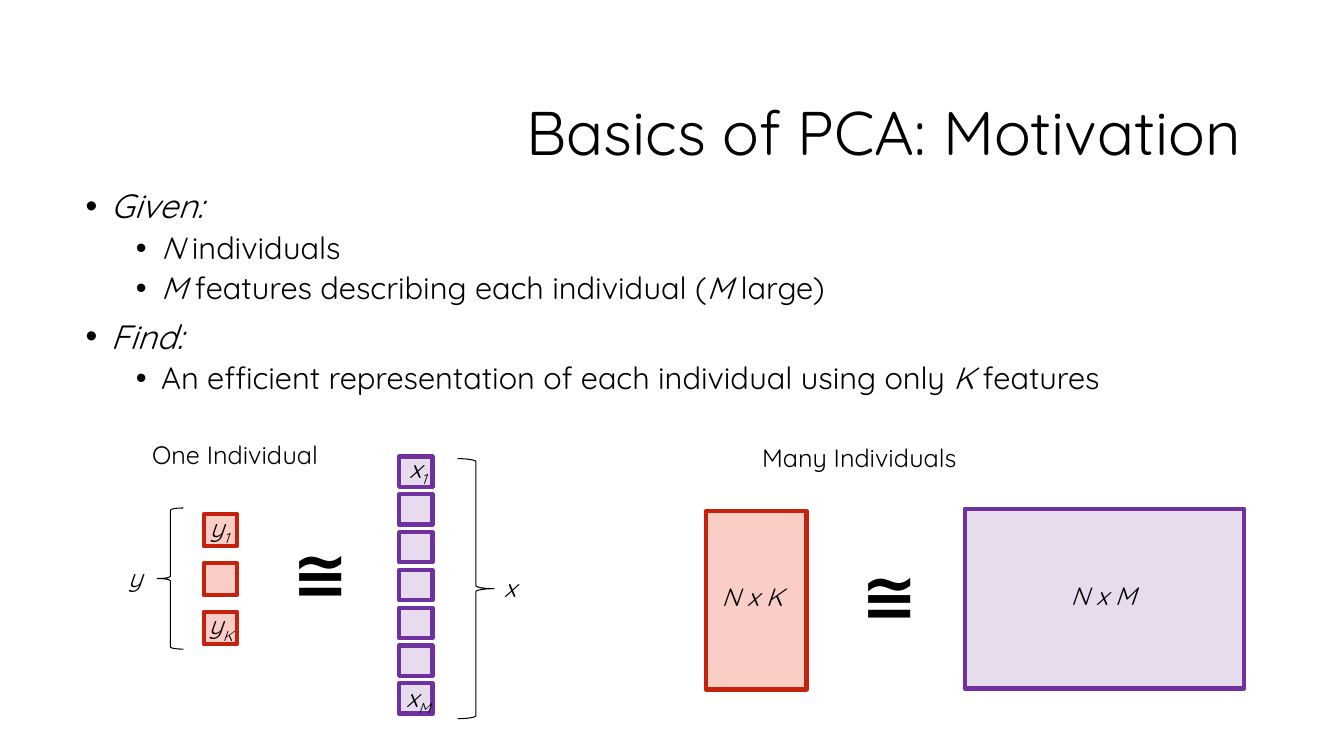
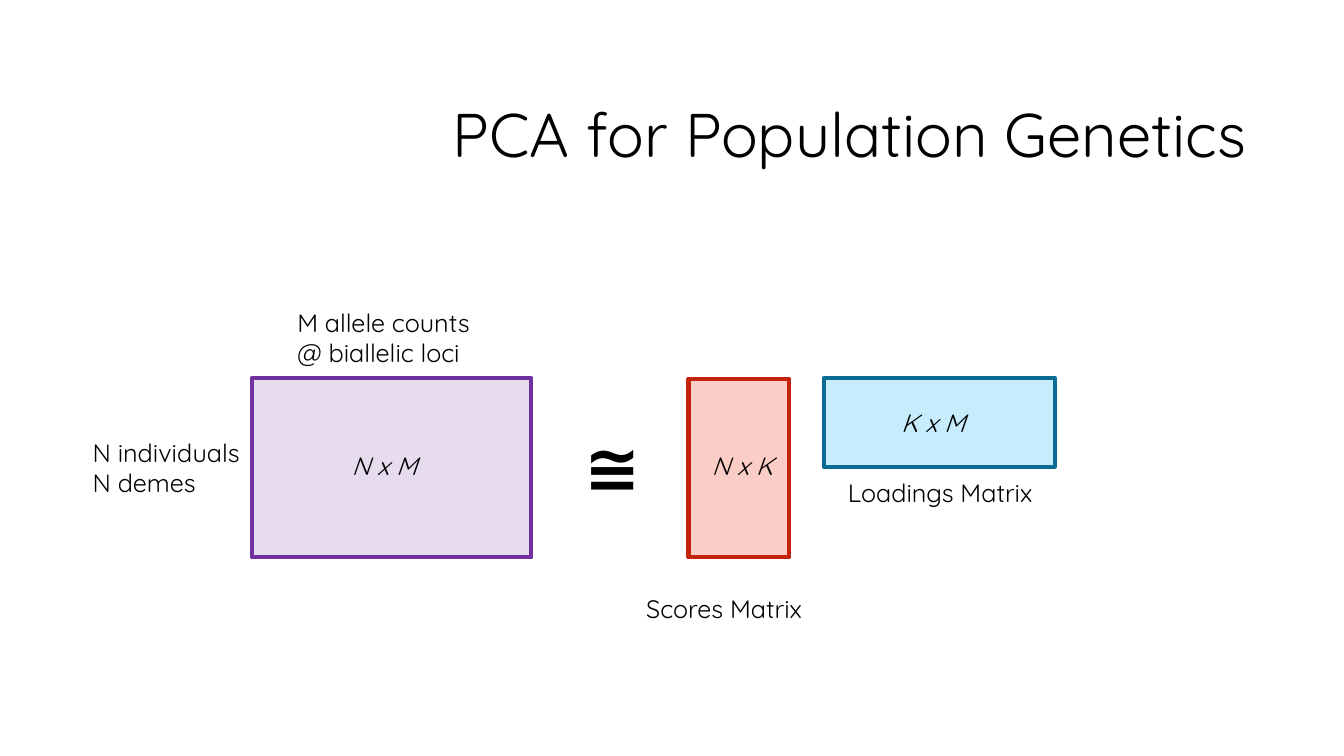
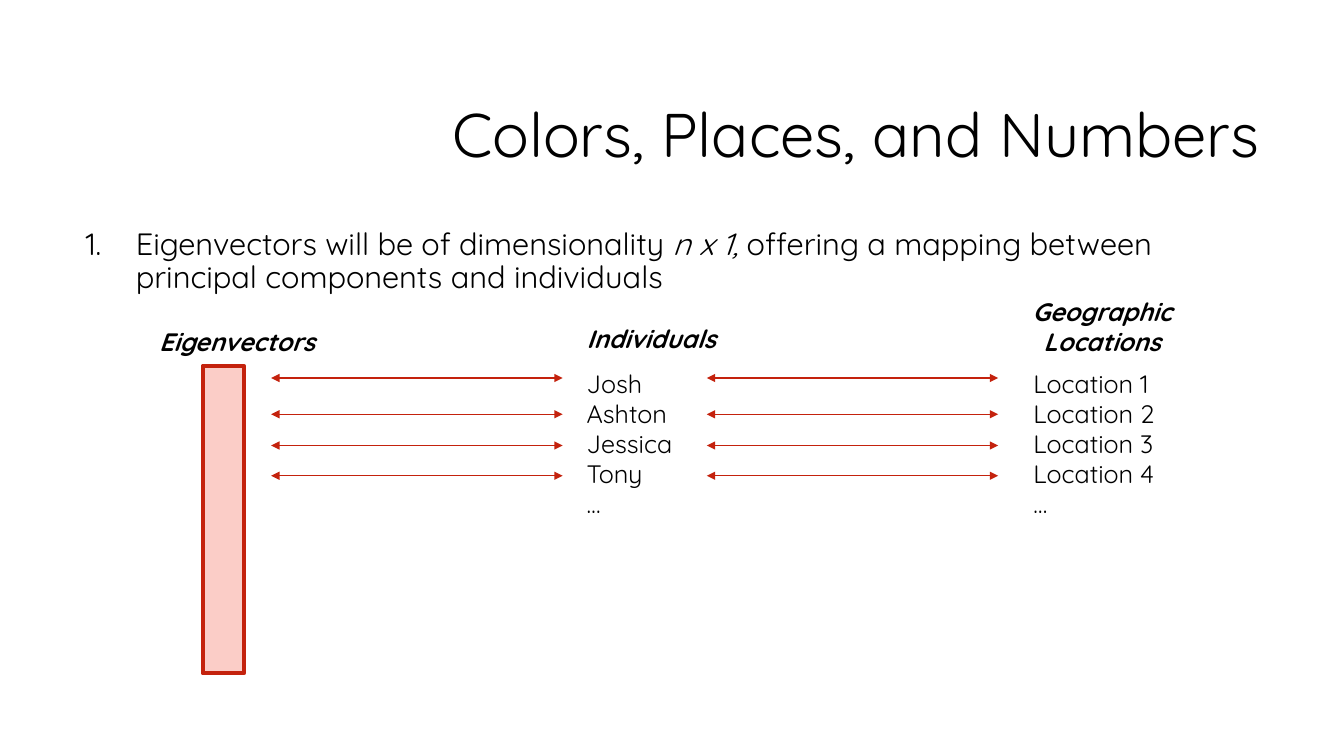
import pptx
import pptx.util
import pptx.dml.color
import pptx.enum.shapes
import pptx.enum.text
import pptx.oxml
import pptx.oxml.ns
from pptx.util import Inches

SHAPES = pptx.enum.shapes.MSO_SHAPE
FONT = "Quicksand"
COLORS = {"black": "000000", "purple": "7030A0", "red": "C4220D", "pink": "FBCDC7",
          "blue": "0A6B94", "sky": "C7ECFB"}
# style: fill, fill opacity in percent, outline
STYLES = {"data": ("purple", 17, "purple"), "scores": ("pink", 100, "red"),
          "loadings": ("sky", 100, "blue")}
DATA_SIZE = (2.77, 1.78)
SCORES_SIZE = (1, 1.77)

# In all wording, *...* is italic and _..._ is subscript.
TITLES = [("Basics of PCA: Motivation", 5.12, 0.88, 7.76),
          ("PCA for Population Genetics", 4.39, 0.9, 8.75),
          ("Colors, Places, and Numbers", 4.39, 0.9, 8.75)]

MOTIVATION = [(0, "*Given:*"),
              (1, "*N* individuals"),
              (1, "*M *features describing each individual (*M *large)"),
              (0, "*Find:*"),
              (1, "An efficient representation of each individual using only *K *features")]
EIGENVECTOR_POINT = ("Eigenvectors will be of dimensionality *n x 1, *offering a mapping "
                     "between principal components and individuals")

# label: text, left, top, width
MOTIVATION_LABELS = [("*x*", 4.9, 5.63, 0.42), ("*x_1_*", 3.96, 4.45, 0.47),
                     ("*x_M_*", 3.93, 6.72, 0.68), ("*y_1_*", 1.98, 5.03, 0.47),
                     ("*y*", 1.17, 5.53, 0.42), ("*y_K_*", 1.97, 6, 0.47),
                     ("One Individual", 1.41, 4.31, 2.09),
                     ("Many Individuals", 7.46, 4.34, 2.38),
                     ("*N x K*", 7.06, 5.72, 0.84), ("*N x M*", 10.52, 5.71, 0.99)]
GENETICS_LABELS = [("*N x K*", 6.96, 4.42, 0.84), ("*N x M*", 3.39, 4.42, 0.99),
                   ("*K x M*", 8.84, 3.99, 0.84),
                   ("N individuals\nN demes", 0.82, 4.29, 2),
                   ("M allele counts @ biallelic loci", 2.85, 3, 2.05),
                   ("Scores Matrix", 6.31, 5.84, 2.05),
                   ("Loadings Matrix", 8.31, 4.69, 2.18)]
MAPPING_HEADINGS = [("*Eigenvectors*", 1.48, 3.19, 1.89, "left"),
                    ("*Individuals*", 5.72, 3.16, 1.56, "left"),
                    ("*Geographic Locations*", 10.01, 2.89, 1.84, "center")]
MAPPING_LISTS = [("Josh\nAshton\nJessica\nTony\n…", 5.72, 3.6, 1.56),
                 ("Location 1\nLocation 2\nLocation 3\nLocation 4\n…", 10.15, 3.6, 1.56)]
ARROW_LEFTS = [2.69, 7.01]
ARROW_ROWS = [3.75, 4.11, 4.42, 4.72]
ARROW_LENGTH = 2.89


def rgb(name):
    return pptx.dml.color.RGBColor.from_string(COLORS[name])


def add_child(parent, tag, **attributes):
    child = pptx.oxml.parse_xml(f"<a:{tag} {pptx.oxml.ns.nsdecls('a')}/>")
    for key, value in attributes.items():
        child.set(key, value)
    parent.append(child)


def write_runs(paragraph, text, size=18, bold=False):
    """Fill a paragraph, reading the italic and subscript marks."""
    for i, piece in enumerate(text.split("*")):
        for j, part in enumerate(piece.split("_")):
            if not part:
                continue
            run = paragraph.add_run()
            run.text = part
            run.font.name = FONT
            run.font.size = pptx.util.Pt(size)
            run.font.bold = bold
            run.font.italic = i % 2 == 1
            run.font.color.rgb = rgb("black")
            if j % 2:
                run.font._element.set("baseline", "-25000")


def add_text(slide, text, left, top, width, height=0.4, size=18, bold=False, align="left"):
    box = slide.shapes.add_textbox(Inches(left), Inches(top), Inches(width), Inches(height))
    frame = box.text_frame
    frame.word_wrap = True
    for index, line in enumerate(text.split("\n")):
        paragraph = frame.add_paragraph() if index else frame.paragraphs[0]
        paragraph.alignment = pptx.enum.text.PP_ALIGN[align.upper()]
        write_runs(paragraph, line, size, bold)
    return box


def add_points(slide, points, top, sizes, indent, hanging, number=False):
    """Add a bulleted or numbered list of (level, text)."""
    frame = add_text(slide, "", 0.75, top, 11.83, 4.4).text_frame
    for index, (level, text) in enumerate(points):
        paragraph = frame.add_paragraph() if index else frame.paragraphs[0]
        paragraph.level = level
        paragraph.line_spacing = 0.9
        paragraph.space_before = pptx.util.Pt(5 if level else 10)
        properties = paragraph._p.get_or_add_pPr()
        properties.set("marL", str(Inches(indent + 0.5 * level)))
        properties.set("indent", str(-Inches(hanging)))
        if number:
            add_child(properties, "buFont", typeface=FONT)
            add_child(properties, "buAutoNum", type="arabicPeriod")
        else:
            add_child(properties, "buFont", typeface="Arial")
            add_child(properties, "buChar", char="•")
        write_runs(paragraph, text, sizes[level])


def add_matrix(slide, style, left, top, width, height):
    fill, opacity, outline = STYLES[style]
    shape = slide.shapes.add_shape(SHAPES.RECTANGLE, Inches(left), Inches(top),
                                   Inches(width), Inches(height))
    shape.shadow.inherit = False
    shape.fill.solid()
    shape.fill.fore_color.rgb = rgb(fill)
    if opacity < 100:
        color = shape.element.spPr.find(".//" + pptx.oxml.ns.qn("a:srgbClr"))
        add_child(color, "alpha", val=str(opacity * 1000))
    shape.line.color.rgb = rgb(outline)
    shape.line.width = pptx.util.Pt(3)


def add_brace(slide, kind, left, top, width, height):
    brace = slide.shapes.add_shape(kind, Inches(left), Inches(top), Inches(width), Inches(height))
    brace.shadow.inherit = False
    brace.fill.background()
    brace.line.color.rgb = rgb("black")
    brace.line.width = pptx.util.Pt(0.75)


def add_double_arrow(slide, left, top):
    arrow = slide.shapes.add_connector(
        pptx.enum.shapes.MSO_CONNECTOR.STRAIGHT, Inches(left), Inches(top),
        Inches(left + ARROW_LENGTH), Inches(top))
    arrow.line.color.rgb = rgb("red")
    arrow.line.width = pptx.util.Pt(0.75)
    properties = arrow.element.spPr
    line = properties.find(pptx.oxml.ns.qn("a:ln"))
    add_child(line, "headEnd", type="triangle")
    add_child(line, "tailEnd", type="triangle")
    add_child(properties, "effectLst")


def add_approximation(slide, left, top):
    add_text(slide, "≅", left, top, 1.02, 0.91, size=48, bold=True)


def add_labels(slide, labels):
    for text, left, top, width in labels:
        add_text(slide, text, left, top, width)


def build_motivation(slide):
    add_points(slide, MOTIVATION, 1.83, (24, 22), 0.25, 0.25)
    for row in range(7):
        add_matrix(slide, "data", 3.96, 4.53 + 0.375 * row, 0.33, 0.3)
    for row in range(3):
        add_matrix(slide, "scores", 2.02, 5.1 + 0.485 * row, 0.33, 0.32)
    add_brace(slide, SHAPES.RIGHT_BRACE, 4.54, 4.55, 0.36, 2.58)
    add_brace(slide, SHAPES.LEFT_BRACE, 1.56, 5.04, 0.26, 1.4)
    add_matrix(slide, "scores", 7, 5.07, *SCORES_SIZE)
    add_matrix(slide, "data", 9.57, 5.05, *DATA_SIZE)
    add_approximation(slide, 2.8, 5.22)
    add_approximation(slide, 8.45, 5.44)
    add_labels(slide, MOTIVATION_LABELS)


def build_genetics(slide):
    add_matrix(slide, "data", 2.5, 3.75, *DATA_SIZE)
    add_matrix(slide, "scores", 6.83, 3.76, *SCORES_SIZE)
    add_matrix(slide, "loadings", 8.17, 3.75, 2.29, 0.88)
    add_approximation(slide, 5.7, 4.17)
    add_labels(slide, GENETICS_LABELS)


def build_mapping(slide):
    add_points(slide, [(0, EIGENVECTOR_POINT)], 2.22, (22,), 0.5, 0.5, number=True)
    add_matrix(slide, "scores", 2.01, 3.63, 0.41, 3.05)
    for text, left, top, width, align in MAPPING_HEADINGS:
        add_text(slide, text, left, top, width, bold=True, align=align)
    add_labels(slide, MAPPING_LISTS)
    for left in ARROW_LEFTS:
        for top in ARROW_ROWS:
            add_double_arrow(slide, left, top)


def main():
    presentation = pptx.Presentation()
    presentation.slide_width = Inches(13.33)
    presentation.slide_height = Inches(7.5)
    builders = [build_motivation, build_genetics, build_mapping]
    for (title, left, top, width), build in zip(TITLES, builders):
        slide = presentation.slides.add_slide(presentation.slide_layouts[6])
        add_text(slide, title, left, top, width, 0.84, size=44)
        build(slide)
    presentation.save("out.pptx")


if __name__ == "__main__":
    main()
